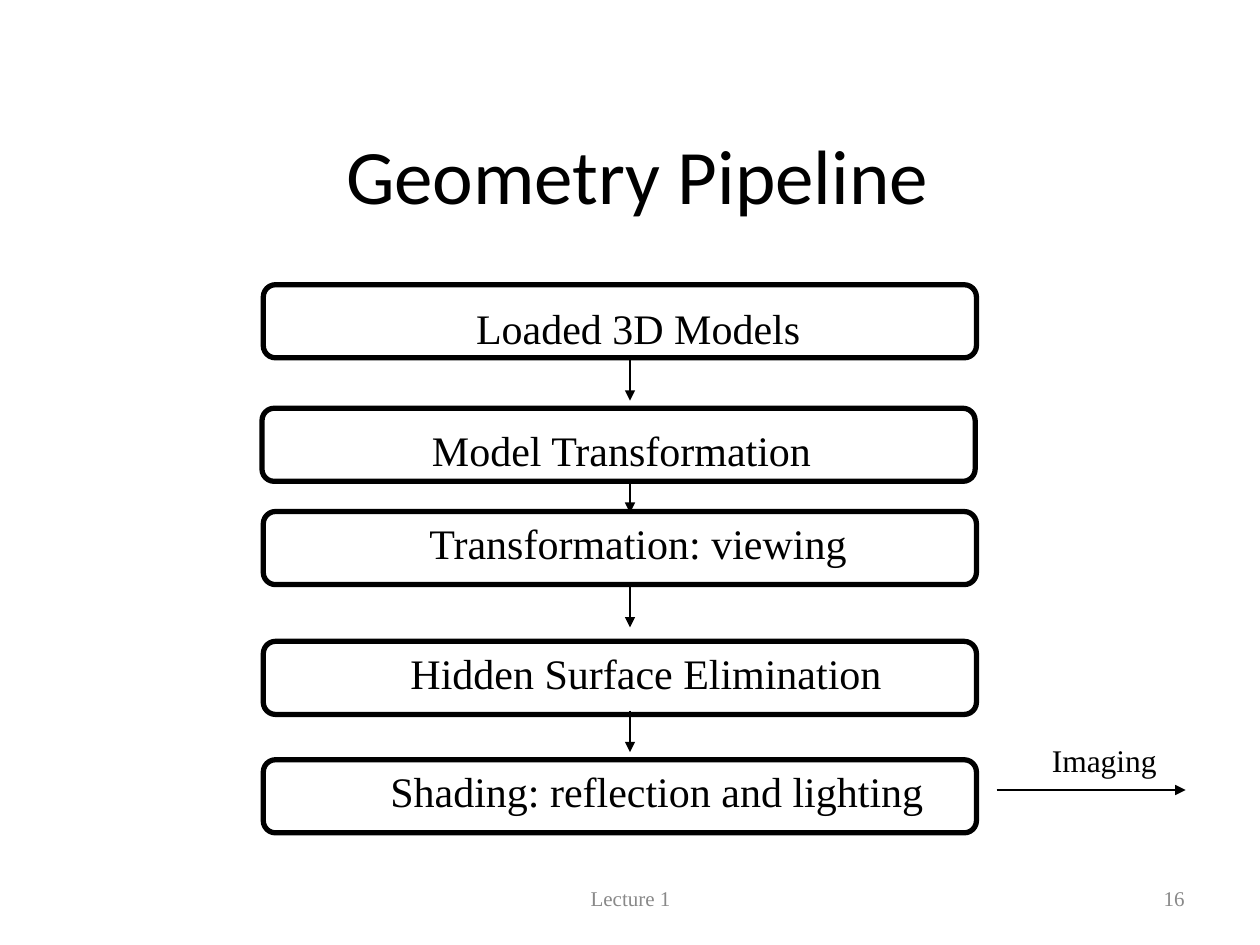
from lxml.etree import SubElement
from pptx import Presentation
from pptx.dml.color import RGBColor
from pptx.enum.shapes import MSO_CONNECTOR as Connector, MSO_SHAPE as Shape
from pptx.enum.text import MSO_ANCHOR as Anchor, PP_ALIGN as Align
from pptx.oxml.ns import qn
from pptx.util import Pt

PX = 9144  # 100 px to the inch
BLACK, GRAY = "000000", "898989"
SERIF = "Times New Roman"


def add_text(text, left, top, width, height, size=24, font=SERIF, color=BLACK,
             align=Align.LEFT, anchor=Anchor.TOP, wrap=True, spacing=1.0):
    box = page.shapes.add_textbox(left * PX, top * PX, width * PX, height * PX)
    frame = box.text_frame
    frame.word_wrap = wrap
    frame.vertical_anchor = anchor
    para = frame.paragraphs[0]
    para.alignment = align
    para.line_spacing = spacing
    span = para.add_run()
    span.text = text
    span.font.size = Pt(size)
    span.font.name = font
    span.font.color.rgb = RGBColor.from_string(color)


def add_arrow(x1, y1, x2, y2):
    arrow = page.shapes.add_connector(Connector.STRAIGHT, x1 * PX, y1 * PX, x2 * PX, y2 * PX)
    arrow.line.width = Pt(0.75)
    arrow.line.color.rgb = RGBColor.from_string(BLACK)
    SubElement(arrow.line._get_or_add_ln(), qn("a:tailEnd"), type="triangle")
    SubElement(arrow._element.spPr, qn("a:effectLst"))


deck = Presentation()
deck.slide_width, deck.slide_height = 1000 * PX, 750 * PX
page = deck.slides.add_slide(deck.slide_layouts[6])

add_text("Geometry Pipeline", 81, 84, 850, 108, size=44, font="Calibri",
         align=Align.CENTER, anchor=Anchor.MIDDLE)

# label, stage left and top, label left, top and width, arrow start and end
stages = [
    ("Loaded 3D Models", 209, 226, 368, 235, 277, (285, 318)),
    ("Model Transformation", 208, 324, 333, 332, 322, (382, 407)),
    ("Transformation: viewing", 209, 406, 331, 406, 352, (465, 498)),
    ("Hidden Surface Elimination", 209, 509, 316, 509, 394, (564, 597)),
    ("Shading: reflection and lighting", 209, 603, 300, 603, 443, None),
]
for label, left, top, label_left, label_top, label_width, arrow_span in stages:
    stage = page.shapes.add_shape(Shape.ROUNDED_RECTANGLE, left * PX, top * PX, 566 * PX, 58 * PX)
    stage.shadow.inherit = False
    stage.fill.background()
    stage.line.width = Pt(3)
    stage.line.color.rgb = RGBColor.from_string(BLACK)
    add_text(label, label_left, label_top, label_width, 50, wrap=False)
    if arrow_span:
        add_arrow(500, arrow_span[0], 500, arrow_span[1])

add_arrow(791, 627, 941, 627)
add_text("Imaging", 825, 583, 117, 40, size=18)

footer = dict(size=12, color=GRAY, anchor=Anchor.MIDDLE, spacing=0.8)
add_text("Lecture 1", 342, 695, 317, 40, align=Align.CENTER, **footer)
add_text("16", 717, 695, 233, 40, align=Align.RIGHT, **footer)

deck.save("out.pptx")
